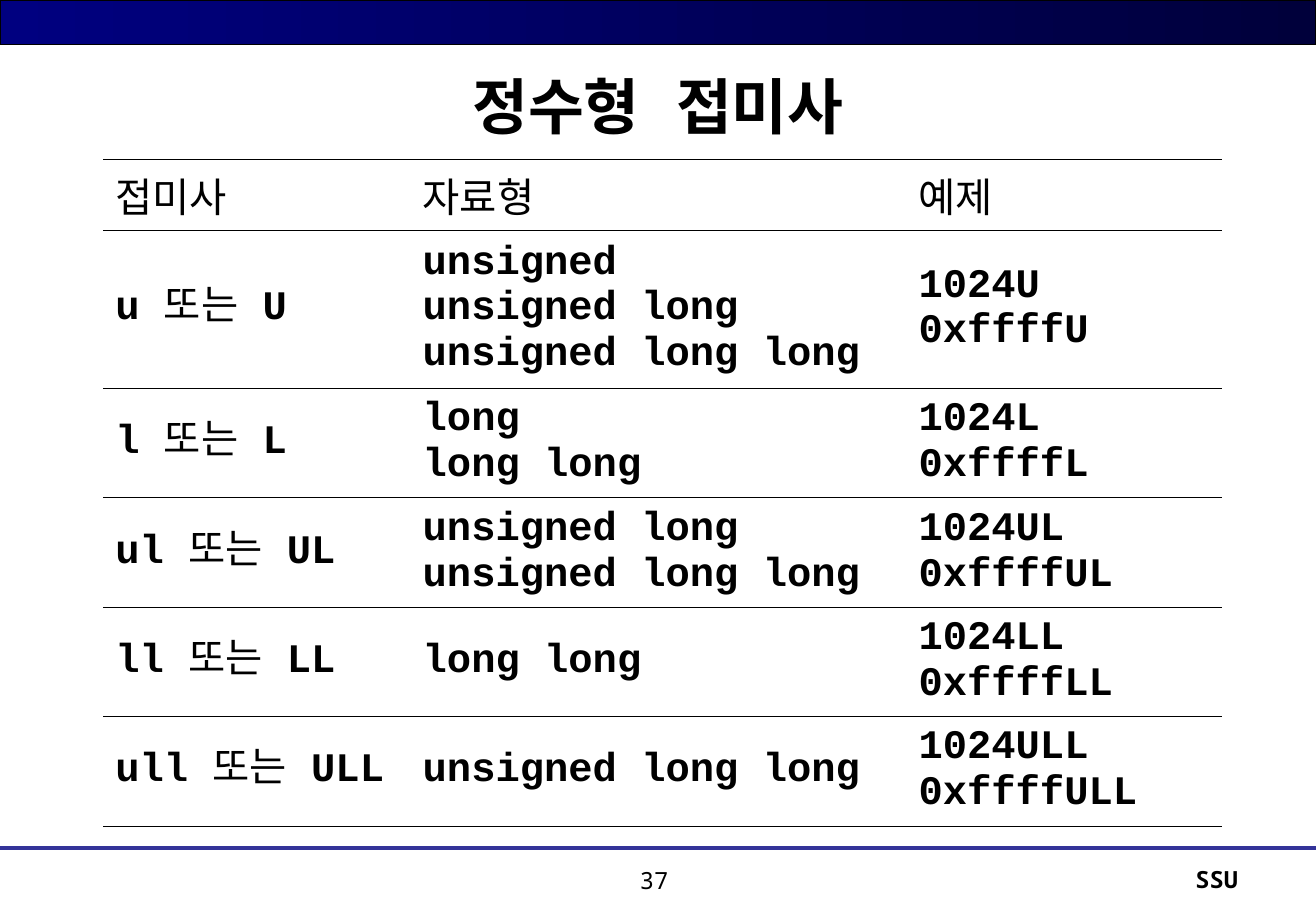
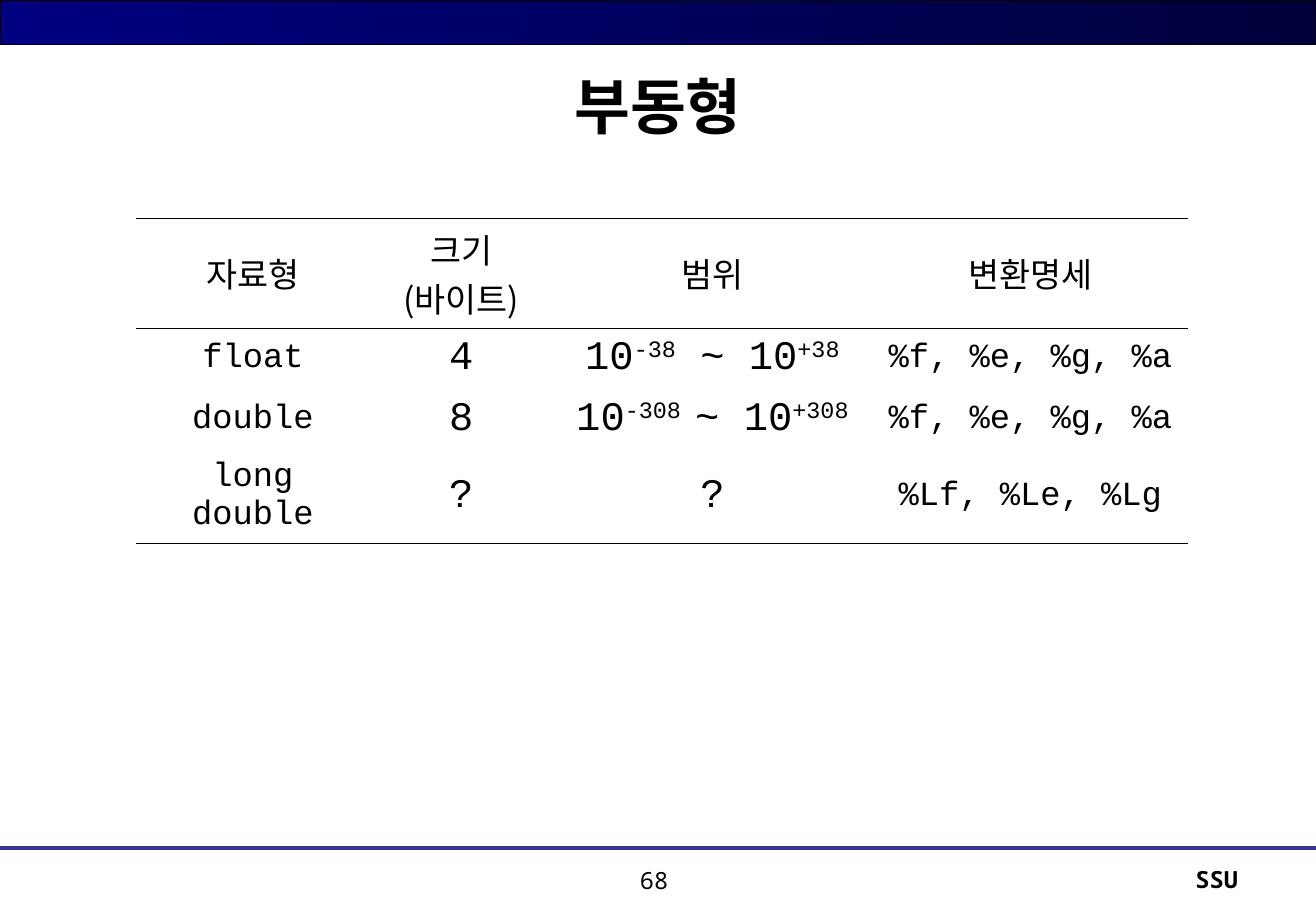
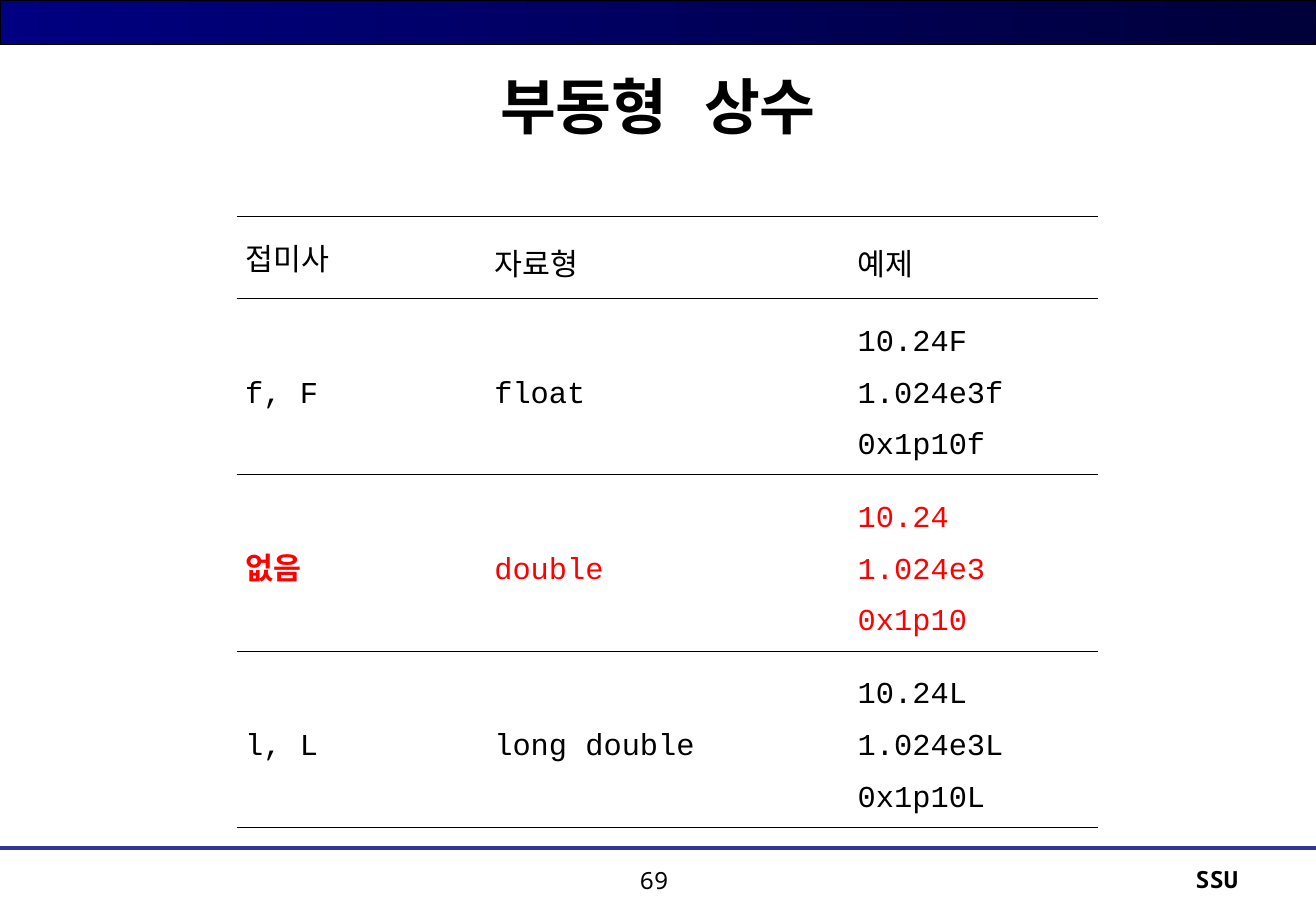
from pptx import Presentation, util as u
from pptx.dml.color import RGBColor
from pptx.enum import shapes, text
from pptx.oxml import ns, xmlchemy

BLACK = RGBColor(0x00, 0x00, 0x00)
NAVY = RGBColor(0x00, 0x00, 0x80)
NIGHT = RGBColor(0x00, 0x00, 0x3B)
BLUE = RGBColor(0x33, 0x33, 0x99)
RED = RGBColor(0xFF, 0x00, 0x00)

MONO = "Noto Sans Mono"
SANS = "Noto Sans CJK KR"
CODE = "Courier New"

WIDE, HIGH = u.Inches(10.84), u.Inches(7.5)
LEFT, MID, RIGHT = text.PP_ALIGN.LEFT, text.PP_ALIGN.CENTER, text.PP_ALIGN.RIGHT
PLAIN = "{2D5ABB26-0587-4C30-8999-92F81FD0307C}"


def across(share):
    return round(WIDE * share / 100)


def down(share):
    return round(HIGH * share / 100)


def tag(home, name, **attrs):
    part = xmlchemy.OxmlElement(name)
    for key, value in attrs.items():
        part.set(key, str(value))
    home.append(part)
    return part


def write(frame, body, size=14, face=MONO, color=BLACK, bold=False,
          align=LEFT, space=1.0):
    lines = [[(line, {})] for line in body.split("\n")] if isinstance(body, str) else [body]
    frame.word_wrap = True
    for i, line in enumerate(lines):
        para = frame.add_paragraph() if i else frame.paragraphs[0]
        para.alignment = align
        para.line_spacing = space
        for words, extra in line:
            run = para.add_run()
            run.text = words
            font = run.font
            font.size = u.Pt(size)
            font.bold = extra.get("bold", bold)
            font.color.rgb = color
            font.name = face
            props = run._r.get_or_add_rPr()
            if "base" in extra:
                props.set("baseline", str(extra["base"]))
            east = tag(props, "a:ea", typeface=face)
            props.find(ns.qn("a:latin")).addnext(east)


def label(slide, body, x, y, w, h, anchor=text.MSO_ANCHOR.TOP, **form):
    box = slide.shapes.add_textbox(across(x), down(y), across(w), down(h))
    box.text_frame.vertical_anchor = anchor
    write(box.text_frame, body, **form)


def band(slide):
    bar = slide.shapes.add_shape(shapes.MSO_SHAPE.RECTANGLE, 0, 0, WIDE, down(4.86))
    bar.shadow.inherit = False
    bar.fill.gradient()
    bar.fill.gradient_angle = 0
    for stop, color in zip(bar.fill.gradient_stops, (NAVY, NIGHT)):
        stop.color.rgb = color
    bar.line.color.rgb = BLACK
    bar.line.width = u.Pt(0.75)


def rule(slide):
    y = down(93.07)
    line = slide.shapes.add_connector(shapes.MSO_CONNECTOR.STRAIGHT, 0, y, WIDE, y)
    line.line.color.rgb = BLUE
    line.line.width = u.Pt(2.5)
    tag(line._element.spPr, "a:effectLst")


def page(deck, title, number):
    slide = deck.slides.add_slide(deck.slide_layouts[6])
    band(slide)
    rule(slide)
    label(slide, title, 5, 4.8, 90, 13.47, text.MSO_ANCHOR.MIDDLE,
          size=36, bold=True, align=MID)
    label(slide, "SSU", 71.1, 94.27, 23.89, 4.93, bold=True, align=RIGHT)
    label(slide, str(number), 42.97, 94.4, 13.47, 4.93, align=MID)
    return slide


def edge(props, side, width):
    line = tag(props, "a:ln" + side, w=u.Pt(width or 0))
    if width:
        tag(tag(line, "a:solidFill"), "a:srgbClr", val=BLACK)
    else:
        tag(line, "a:noFill")


def grid(slide, x, y, cols, rows, cells, rules, form, pad=(0.1, 0.1)):
    table = slide.shapes.add_table(
        len(rows), len(cols), across(x), down(y),
        across(sum(cols)), down(sum(rows))).table
    table.first_row = table.horz_banding = False
    table._tbl.tblPr.find(ns.qn("a:tableStyleId")).text = PLAIN
    for col, share in zip(table.columns, cols):
        col.width = across(share)
    for row, share in zip(table.rows, rows):
        row.height = down(share)
    for r, line in enumerate(cells):
        for c, body in enumerate(line):
            cell = table.cell(r, c)
            cell.margin_left, cell.margin_right = map(u.Inches, pad)
            cell.vertical_anchor = text.MSO_ANCHOR.MIDDLE
            props = cell._tc.get_or_add_tcPr()
            for side, width in zip("LRTB", (None, None, rules.get(r), rules.get(r + 1))):
                edge(props, side, width)
            cell.fill.background()
            write(cell.text_frame, body, **form(r, c))


def pair(mark):
    return [(mark + " ", {}), ("또는 ", {"bold": False}), (mark.upper(), {})]


def span(low, mid, top):
    high = {"base": 30000}
    return [("10", {}), (low, high), (mid, {}), (top, high)]


def suffix(deck):
    kinds = [
        ("u", "unsigned\nunsigned long\nunsigned long long"),
        ("l", "long\nlong long"),
        ("ul", "unsigned long\nunsigned long long"),
        ("ll", "long long"),
        ("ull", "unsigned long long"),
    ]
    cells = [("접미사", "자료형", "예제")]
    for mark, names in kinds:
        big = mark.upper()
        cells.append((pair(mark), names, f"1024{big}\n0xffff{big}"))

    def form(r, c):
        return dict(size=24, face=CODE if r else SANS, bold=r > 0)

    grid(page(deck, "정수형 접미사", 37), 7.84, 17.47,
         [23.36, 37.68, 23.99], [7.8, 17.33] + [12] * 4, cells,
         {0: 0.45, 1: 0.45, 2: 0.06, 3: 0.06, 4: 0.06, 5: 0.06, 6: 0.11}, form)


def floats(deck):
    cells = [
        ("자료형", "크기\n(바이트)", "범위", "변환명세"),
        ("float", "4", span("-38", " ~ 10", "+38"), "%f, %e, %g, %a"),
        ("double", "8", span("-308 ", "~ 10", "+308"), "%f, %e, %g, %a"),
        ("long double", "?", "?", "%Lf, %Le, %Lg"),
    ]

    def form(r, c):
        return dict(size=24 if r and c in (1, 2) else 20,
                    face=CODE if r else SANS, align=MID)

    grid(page(deck, "부동형", 68), 10.33, 23.95,
         [17.8, 13.84, 24.35, 23.99], [12.08, 6.67, 6.67, 10.27], cells,
         {0: 0.11, 1: 0.11, 4: 0.11}, form)


def consts(deck):
    cells = [("접미사", "자료형", "예제")]
    for mark, name, f, e in [("f, F", "float", "F", "f"),
                             ("없음", "double", "", ""),
                             ("l, L", "long double", "L", "L")]:
        cells.append((mark, name, f"10.24{f}\n1.024e3{e}\n0x1p10{e}"))

    def form(r, c):
        head = 1.6 if c else 1.3
        return dict(size=18, face=CODE, color=RED if r == 2 else BLACK,
                    bold=(r, c) == (2, 0), space=1.5 if r else head)

    grid(page(deck, "부동형 상수", 69), 17.99, 23.73,
         [18.93, 27.62, 18.93], [9.01] + [18.55] * 3, cells,
         {0: 0.85, 1: 0.85, 2: 0.11, 3: 0.11, 4: 0.11}, form, pad=(0.07, 0.02))


def main():
    deck = Presentation()
    deck.slide_width, deck.slide_height = WIDE, HIGH
    suffix(deck)
    floats(deck)
    consts(deck)
    deck.save("out.pptx")


if __name__ == "__main__":
    main()
